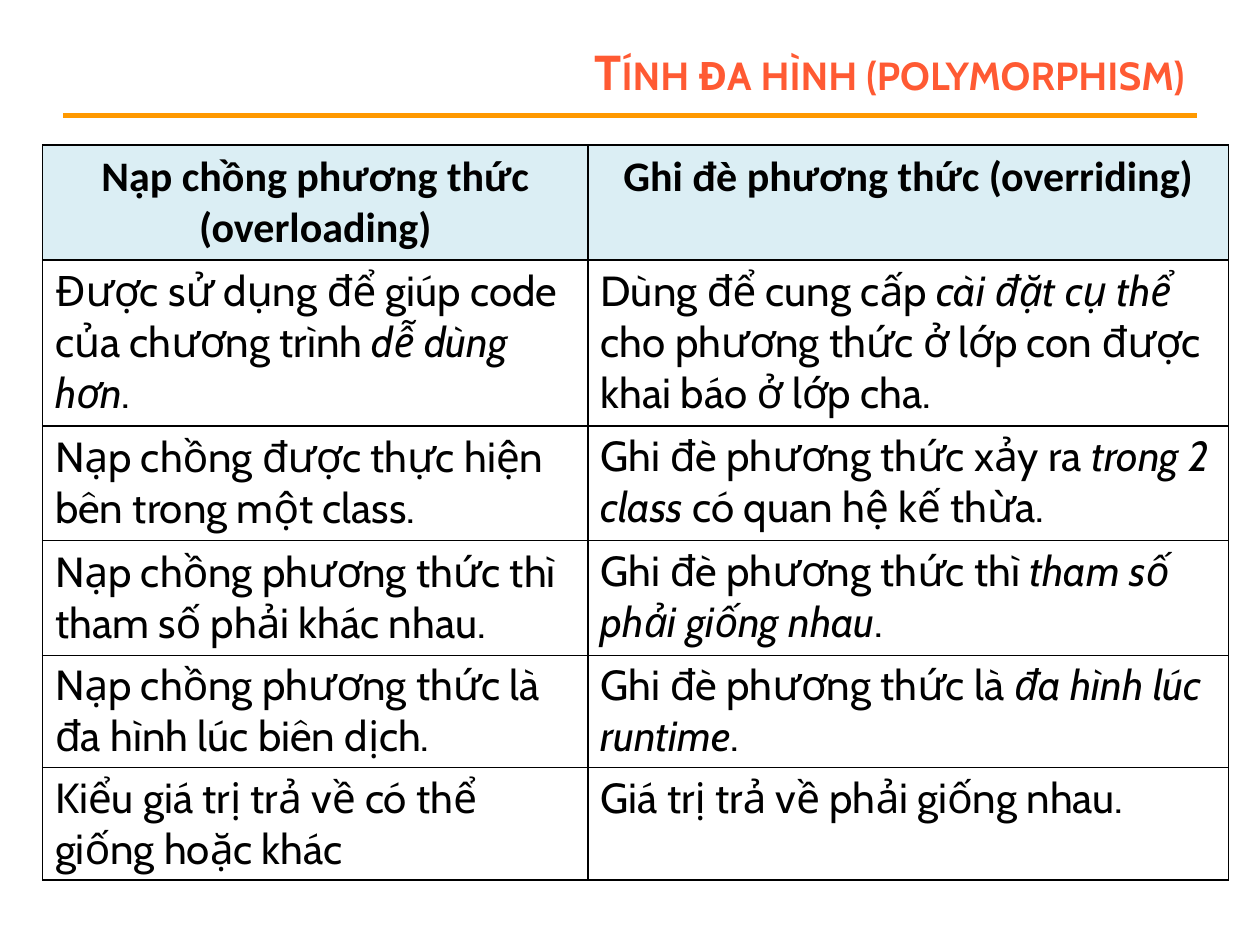
from dataclasses import dataclass

from lxml.etree import SubElement
from pptx import Presentation
from pptx.dml.color import RGBColor
from pptx.enum.shapes import MSO_CONNECTOR
from pptx.enum.text import MSO_ANCHOR, PP_ALIGN
from pptx.oxml.ns import qn
from pptx.util import Pt

BLACK = "000000"
HEADER_FILL = "DBEEF4"
COLUMN_WIDTHS = (311.8, 365.8)
ROW_HEIGHTS = (33.1, 67, 55.4, 54, 54, 48.2)
TABLE_HEIGHT = 415.4


@dataclass
class CellText:
    text: str
    tight: bool = False  # narrow margins, with a paragraph indent instead


HEADERS = ("Nạp chồng phương thức (overloading)", "Ghi đè phương thức (overriding)")
# Asterisks enclose the italic words.
BODY = (
    (CellText("Được sử dụng để giúp code của chương trình *dễ dùng hơn*."),
     CellText("Dùng để cung cấp *cài đặt cụ thể* cho phương thức ở lớp con "
              "được khai báo ở lớp cha.")),
    (CellText("Nạp chồng được thực hiện bên trong một class."),
     CellText("Ghi đè phương thức xảy ra *trong 2 class* có quan hệ kế thừa.", True)),
    (CellText("Nạp chồng phương thức thì tham số phải khác nhau."),
     CellText("Ghi đè phương thức thì *tham số phải giống nhau*.", True)),
    (CellText("Nạp chồng phương thức là đa hình lúc biên dịch.", True),
     CellText("Ghi đè phương thức là *đa hình lúc runtime*.", True)),
    (CellText("Kiểu giá trị trả về có thể giống hoặc khác ", True),
     CellText("Giá trị trả về phải giống nhau.", True)),
)


def color(value: str) -> RGBColor:
    return RGBColor.from_string(value)


def write(frame, text: str, *, font="Cabin", size=24, fill=BLACK, bold=False,
          align=PP_ALIGN.LEFT, small_caps=False, indent=0.0) -> None:
    """Fill the first paragraph; words between asterisks become italic."""
    frame.word_wrap = True
    paragraph = frame.paragraphs[0]
    paragraph.alignment = align
    if indent:
        properties = paragraph._p.get_or_add_pPr()
        properties.set("marL", str(Pt(indent)))
        properties.set("indent", "0")
    for index, part in enumerate(text.split("*")):
        run = paragraph.add_run()
        run.text = part
        run.font.name = font
        run.font.size = Pt(size)
        run.font.bold = bold
        run.font.italic = index % 2 == 1
        run.font.color.rgb = color(fill)
        if small_caps:
            run._r.get_or_add_rPr().set("cap", "small")


def set_borders(cell, width: float = 1) -> None:
    properties = cell._tc.get_or_add_tcPr()
    for position, side in enumerate(("a:lnL", "a:lnR", "a:lnT", "a:lnB")):
        line = SubElement(properties, qn(side), w=str(Pt(width)))
        SubElement(SubElement(line, qn("a:solidFill")), qn("a:srgbClr"), val=BLACK)
        properties.insert(position, line)


def set_margins(cell, margin: float) -> None:
    cell.margin_left = cell.margin_right = Pt(margin)
    cell.margin_top = cell.margin_bottom = Pt(margin)


def add_title(slide) -> None:
    box = slide.shapes.add_textbox(Pt(162), Pt(21.6), Pt(522), Pt(38.2))
    box.text_frame.vertical_anchor = MSO_ANCHOR.MIDDLE
    write(box.text_frame, "Tính đa hình (polymorphism)", size=28, fill="FF5A33",
          bold=True, align=PP_ALIGN.RIGHT, small_caps=True)


def add_rule(slide) -> None:
    rule = slide.shapes.add_connector(MSO_CONNECTOR.STRAIGHT, Pt(36), Pt(66), Pt(684), Pt(66))
    rule.line.color.rgb = color("FF9900")
    rule.line.width = Pt(3)
    SubElement(rule._element.spPr, qn("a:effectLst"))


def add_comparison(slide) -> None:
    frame = slide.shapes.add_table(len(ROW_HEIGHTS), len(COLUMN_WIDTHS), Pt(24.3), Pt(82.8),
                                   Pt(sum(COLUMN_WIDTHS)), Pt(TABLE_HEIGHT))
    table = frame.table
    table.first_row = table.horz_banding = False
    for column, width in zip(table.columns, COLUMN_WIDTHS):
        column.width = Pt(width)
    for row, height in zip(table.rows, ROW_HEIGHTS):
        row.height = Pt(height)
    frame.height = Pt(TABLE_HEIGHT)

    for cell in table.iter_cells():
        cell.fill.background()
        set_borders(cell)
    for cell, header in zip(table.rows[0].cells, HEADERS):
        cell.fill.solid()
        cell.fill.fore_color.rgb = color(HEADER_FILL)
        write(cell.text_frame, header, font="Calibri", bold=True, align=PP_ALIGN.CENTER)
    for row_index, contents in enumerate(BODY, start=1):
        for cell, content in zip(table.rows[row_index].cells, contents):
            if content.tight:
                set_margins(cell, 2.9)
            write(cell.text_frame, content.text, indent=4.3 if content.tight else 0)


def main() -> None:
    presentation = Presentation()
    presentation.slide_width, presentation.slide_height = Pt(720), Pt(540)
    slide = presentation.slides.add_slide(presentation.slide_layouts[6])
    add_rule(slide)
    add_comparison(slide)
    add_title(slide)
    presentation.save("out.pptx")


if __name__ == "__main__":
    main()
